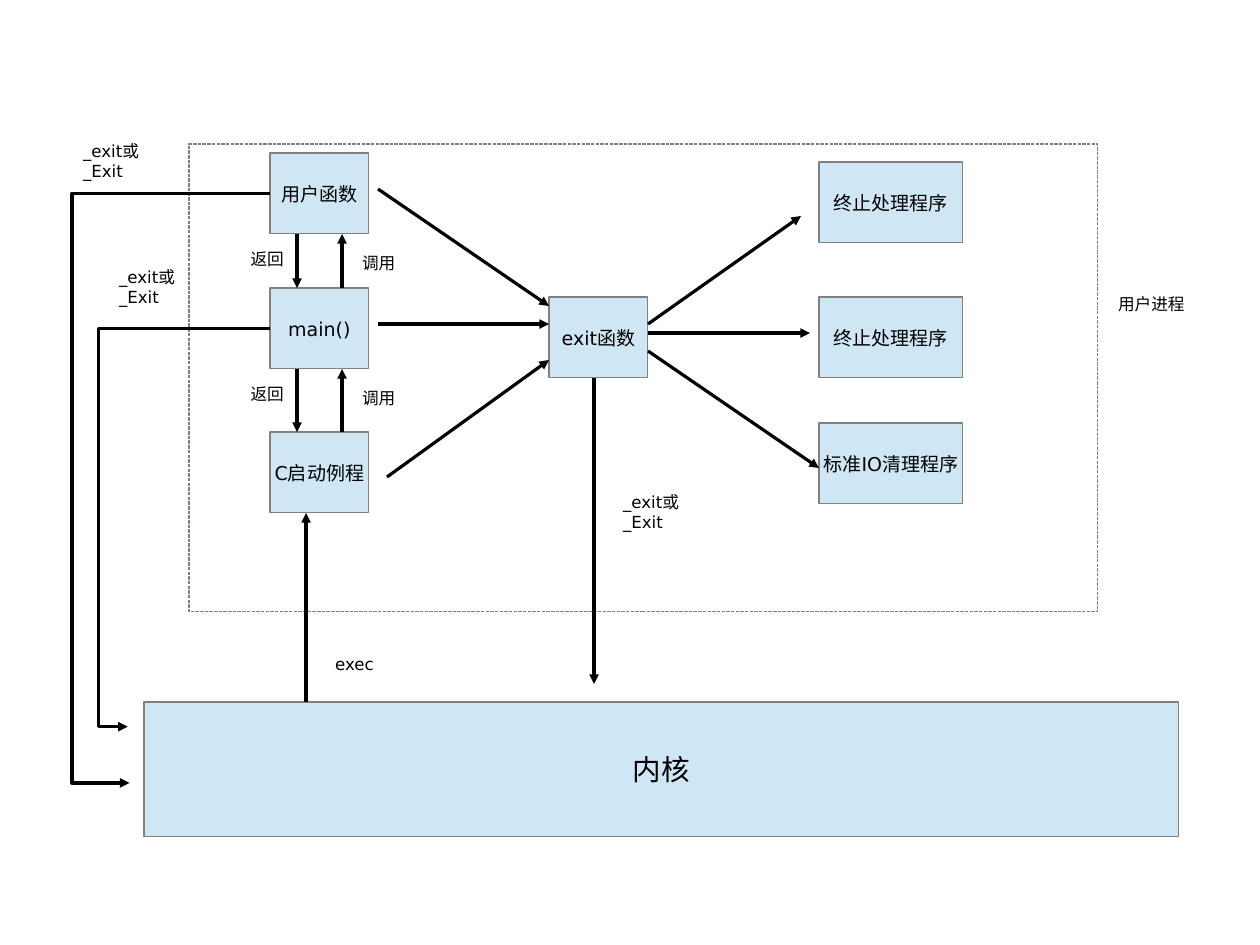
from lxml import etree
from pptx import Presentation
from pptx import util as u
from pptx.dml import color
from pptx.enum import dml, shapes, text
from pptx.oxml import ns

COLUMNS, ROWS = 140, 105


def rgb(value):
    return color.RGBColor.from_string(value)


class Diagram:
    font = "DejaVu Sans"
    ink = "000000"
    box_fill = "CFE7F5"
    box_line = "808080"
    label_size = 10.5

    def __init__(self, presentation):
        self.column = presentation.slide_width / COLUMNS
        self.row = presentation.slide_height / ROWS
        self.slide = presentation.slides.add_slide(presentation.slide_layouts[6])

    def place(self, *lengths):
        steps = (self.column, self.row) * 2
        return [u.Emu(round(length * step)) for length, step in zip(lengths, steps)]

    def set_wording(self, shape, wording, size, alignment):
        paragraph = shape.text_frame.paragraphs[0]
        paragraph.text = wording
        paragraph.alignment = alignment
        paragraph.font.name = self.font
        paragraph.font.size = u.Pt(size)
        paragraph.font.color.rgb = rgb(self.ink)

    def rectangle(self, *bounds):
        shape = self.slide.shapes.add_shape(
            shapes.MSO_SHAPE.RECTANGLE, *self.place(*bounds))
        shape.shadow.inherit = False
        shape.line.color.rgb = rgb(self.box_line)
        shape.line.width = u.Pt(0)
        return shape

    def region(self, *bounds):
        shape = self.rectangle(*bounds)
        shape.fill.background()
        shape.line.dash_style = dml.MSO_LINE.SQUARE_DOT

    def box(self, wording, left, top, width=11, height=9, size=12):
        shape = self.rectangle(left, top, width, height)
        shape.fill.solid()
        shape.fill.fore_color.rgb = rgb(self.box_fill)
        shape.text_frame.word_wrap = False
        shape.text_frame.vertical_anchor = text.MSO_ANCHOR.MIDDLE
        self.set_wording(shape, wording, size, text.PP_ALIGN.CENTER)

    def label(self, wording, left, top, width=13, height=6):
        shape = self.slide.shapes.add_textbox(*self.place(left, top, width, height))
        shape.text_frame.word_wrap = True
        shape.text_frame.auto_size = text.MSO_AUTO_SIZE.SHAPE_TO_FIT_TEXT
        self.set_wording(shape, wording, self.label_size, text.PP_ALIGN.LEFT)

    def arrow(self, *ends, kind=shapes.MSO_CONNECTOR.STRAIGHT):
        connector = self.slide.shapes.add_connector(kind, *self.place(*ends))
        connector.line.color.rgb = rgb(self.ink)
        connector.line.width = u.Pt(0)
        properties = connector._element.spPr
        line = properties.find(ns.qn("a:ln"))
        etree.SubElement(line, ns.qn("a:tailEnd"), type="triangle")
        etree.SubElement(properties, ns.qn("a:effectLst"))
        return connector

    def bent_arrow(self, start_x, start_y, end_x, end_y, bend_x):
        connector = self.arrow(start_x, start_y, end_x, end_y,
                               kind=shapes.MSO_CONNECTOR.ELBOW)
        geometry = connector._element.spPr.find(ns.qn("a:prstGeom"))
        adjustments = geometry.find(ns.qn("a:avLst"))
        if adjustments is None:
            adjustments = etree.SubElement(geometry, ns.qn("a:avLst"))
        share = round(100000 * (start_x - bend_x) / (start_x - end_x))
        etree.SubElement(adjustments, ns.qn("a:gd"), name="adj1", fmla=f"val {share}")


def main():
    presentation = Presentation()
    presentation.slide_width = u.Cm(28)
    presentation.slide_height = u.Cm(21)
    diagram = Diagram(presentation)

    diagram.box("内核", 16, 78, 115, 15, size=18)
    diagram.region(21, 16, 101, 52)

    for wording, top in (("用户函数", 17), ("main()", 32), ("C启动例程", 48)):
        diagram.box(wording, 30, top)
    diagram.box("exit函数", 61, 33)
    for wording, top in (("终止处理程序", 18), ("终止处理程序", 33), ("标准IO清理程序", 47)):
        diagram.box(wording, 91, top, width=16)

    for upper, lower in ((26, 32), (41, 48)):
        diagram.arrow(33, upper, 33, lower)
        diagram.arrow(38, lower, 38, upper)
        diagram.label("返回", 26.6, upper + 1, 7.4, 3.4)
        diagram.label("调用", 39, upper + 1.5, 7, 3.4)

    for ends in (
        (34, 78, 34, 57),
        (42, 21, 61, 34),
        (42, 36, 61, 36),
        (43, 53, 61, 40),
        (72, 36, 89, 24),
        (72, 37, 90, 37),
        (72, 39, 91, 52),
        (66, 42, 66, 76),
    ):
        diagram.arrow(*ends)

    diagram.bent_arrow(30, 21.5, 14.4, 87, 8)
    diagram.bent_arrow(30, 36.5, 14.2, 80.75, 11)

    diagram.label("exec", 36, 72, 7, 3.4)
    for left, top in ((68, 54), (8, 15), (12, 29)):
        diagram.label("_exit或 _Exit", left, top)
    diagram.label("用户进程", 123, 32)

    presentation.save("out.pptx")


if __name__ == "__main__":
    main()
